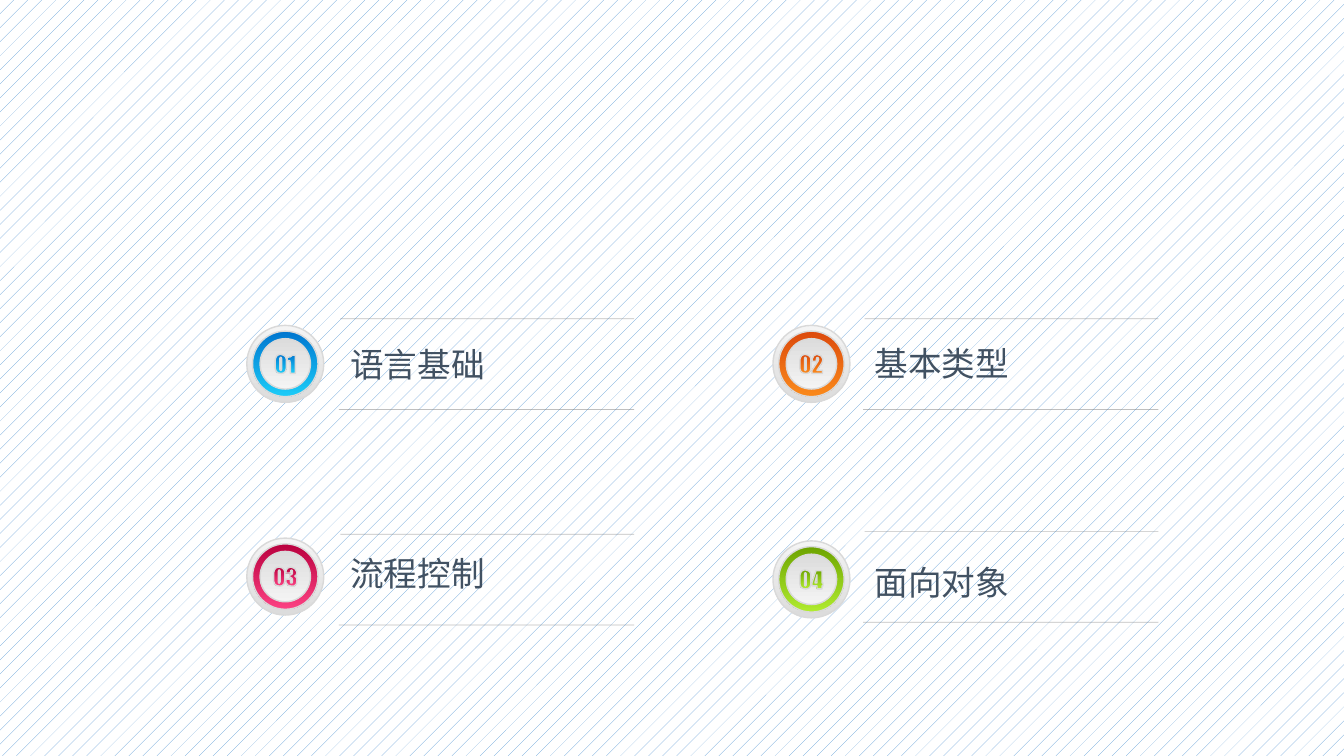
from dataclasses import dataclass

from lxml import etree
from pptx import Presentation
from pptx import util as u
from pptx.dml import color
from pptx.enum import dml, shapes, text
from pptx.oxml import ns

FONT = "Noto Sans CJK SC"
RING_EDGE = "D9D9D9"
LIGHT, SHADE = "F4F4F4", "DCDCDC"
RULE_LENGTH, RULE_GAP = 7.4, 2.29
DIGIT_UNIT = 0.00254  # cm per unit of the outlines below
DIGIT_HEIGHT = 190

# Outlines of the numerals; the second digit stands to the right of the zero.
ZERO = [
    [(50, 0), (80, 8), (100, 22), (110, 45), (110, 140), (102, 170), (85, 185),
     (60, 190), (30, 185), (10, 170), (0, 140), (0, 55), (8, 28), (22, 10)],
    [(52, 30), (46, 42), (46, 148), (52, 160), (58, 160), (64, 148), (64, 42), (58, 30)],
]
SECOND_DIGITS = {
    "01": [[(170, 10), (200, 10), (200, 190), (150, 190), (150, 90), (145, 65),
            (120, 60), (120, 30), (150, 25)]],
    "02": [[(170, 0), (210, 15), (230, 50), (220, 85), (170, 160), (225, 160),
            (225, 190), (120, 190), (120, 160), (180, 70), (187, 50), (180, 32),
            (170, 32), (164, 50), (164, 70), (120, 70), (125, 40), (140, 13)]],
    "03": [[(170, 0), (210, 15), (230, 50), (227, 75), (210, 90), (228, 105),
            (230, 130), (227, 168), (205, 190), (175, 190), (140, 180), (123, 155),
            (120, 120), (165, 120), (167, 155), (175, 160), (185, 155), (187, 125),
            (180, 110), (160, 100), (160, 80), (180, 75), (187, 60), (185, 35),
            (175, 30), (167, 40), (166, 60), (120, 60), (125, 30), (140, 10)]],
    "04": [[(160, 10), (220, 10), (220, 130), (230, 130), (230, 160), (220, 160),
            (220, 190), (170, 190), (170, 160), (120, 160), (120, 130)],
           [(170, 50), (150, 130), (170, 130)]],
}


@dataclass
class Column:
    ring_x: float
    text_left: float


@dataclass
class Chapter:
    number: str
    label: str
    column: Column
    ring_y: float
    rule_top: float
    label_top: float
    dark: str
    bright: str
    label_height: float = 1.27
    line_spacing: float | None = None


LEFT, RIGHT = Column(7.19, 8.58), Column(20.45, 21.79)
CHAPTERS = [
    Chapter("01", "语言基础", LEFT, 9.17, 8.03, 8.53, "0076CF", "1CCCF8"),
    Chapter("02", "基本类型", RIGHT, 9.17, 8.03, 8.51, "DC4A0C", "FA891B"),
    Chapter("03", "流程控制", LEFT, 14.53, 13.46, 13.82, "BA013F", "FB4182"),
    Chapter("04", "面向对象", RIGHT, 14.6, 13.39, 13.72, "6DA400", "B0EB2F", 1.45, 1.3),
]


def rgb(value: str) -> color.RGBColor:
    return color.RGBColor.from_string(value)


def style_gradient(shape, top: str, bottom: str) -> None:
    """Fill from top to bottom, with the thin grey edge and no shadow."""
    shape.shadow.inherit = False
    shape.fill.gradient()
    shape.fill.gradient_angle = 270
    for stop, value in zip(shape.fill.gradient_stops, (top, bottom)):
        stop.color.rgb = rgb(value)
    shape.line.color.rgb = rgb(RING_EDGE)
    shape.line.width = u.Pt(1)


def add_disc(slide, x: float, y: float, diameter: float, top: str, bottom: str) -> None:
    disc = slide.shapes.add_shape(
        shapes.MSO_SHAPE.OVAL, u.Cm(x - diameter / 2), u.Cm(y - diameter / 2),
        u.Cm(diameter), u.Cm(diameter))
    style_gradient(disc, top, bottom)


def add_number(slide, chapter: Chapter) -> None:
    """Draw the two digits as one outline centred in the ring."""
    contours = ZERO + SECOND_DIGITS[chapter.number]
    width = max(x for contour in contours for x, _ in contour)
    builder = slide.shapes.build_freeform(*contours[0][0], scale=u.Cm(DIGIT_UNIT))
    for index, contour in enumerate(contours):
        if index:
            builder.move_to(*contour[0])
        builder.add_line_segments(contour[1:], close=True)
    number = builder.convert_to_shape(
        u.Cm(chapter.column.ring_x - width * DIGIT_UNIT / 2),
        u.Cm(chapter.ring_y - DIGIT_HEIGHT * DIGIT_UNIT / 2))
    style_gradient(number, chapter.dark, chapter.bright)


def add_rule(slide, left: float, right: float, y: float) -> None:
    rule = slide.shapes.add_connector(
        shapes.MSO_CONNECTOR.STRAIGHT, u.Cm(left), u.Cm(y), u.Cm(right), u.Cm(y))
    rule.line.color.rgb = rgb("808080")
    rule.line.width = u.Pt(0.5)
    properties = rule._element.spPr
    solid = properties.find(".//" + ns.qn("a:srgbClr"))
    etree.SubElement(solid, ns.qn("a:alpha"), val="50000")
    etree.SubElement(properties, ns.qn("a:effectLst"))


def add_text(slide, content: str, *, left: float, top: float, width: float, height: float,
             size: float, fill: str, line_spacing: float | None = None) -> None:
    box = slide.shapes.add_textbox(u.Cm(left), u.Cm(top), u.Cm(width), u.Cm(height))
    box.text_frame.word_wrap = True
    box.text_frame.auto_size = text.MSO_AUTO_SIZE.SHAPE_TO_FIT_TEXT
    paragraph = box.text_frame.paragraphs[0]
    paragraph.line_spacing = line_spacing
    run = paragraph.add_run()
    run.text = content
    run.font.size = u.Pt(size)
    run.font.name = FONT
    run.font.color.rgb = rgb(fill)
    etree.SubElement(run.font._element, ns.qn("a:ea"), typeface=FONT)


def add_chapter(slide, chapter: Chapter) -> None:
    left, x = chapter.column.text_left, chapter.column.ring_x
    right = left + RULE_LENGTH
    add_rule(slide, left, right, chapter.rule_top)
    add_rule(slide, left - 0.04, right, chapter.rule_top + RULE_GAP)
    add_disc(slide, x, chapter.ring_y, 1.94, LIGHT, SHADE)
    add_disc(slide, x, chapter.ring_y, 1.65, chapter.dark, chapter.bright)
    add_disc(slide, x, chapter.ring_y, 1.27, SHADE, LIGHT)
    add_number(slide, chapter)
    add_text(slide, chapter.label, left=left, top=chapter.label_top, width=RULE_LENGTH,
             height=chapter.label_height, size=24, fill="415162",
             line_spacing=chapter.line_spacing)


def main() -> None:
    presentation = Presentation()
    presentation.slide_width, presentation.slide_height = u.Cm(33.87), u.Cm(19.05)
    slide = presentation.slides.add_slide(presentation.slide_layouts[6])
    background = slide.background.fill
    background.patterned()
    background.pattern = dml.MSO_PATTERN.PERCENT_5
    background.fore_color.rgb = rgb("5B9BD5")
    background.back_color.rgb = rgb("FFFFFF")
    for chapter in CHAPTERS:
        add_chapter(slide, chapter)
    presentation.save("out.pptx")


if __name__ == "__main__":
    main()
